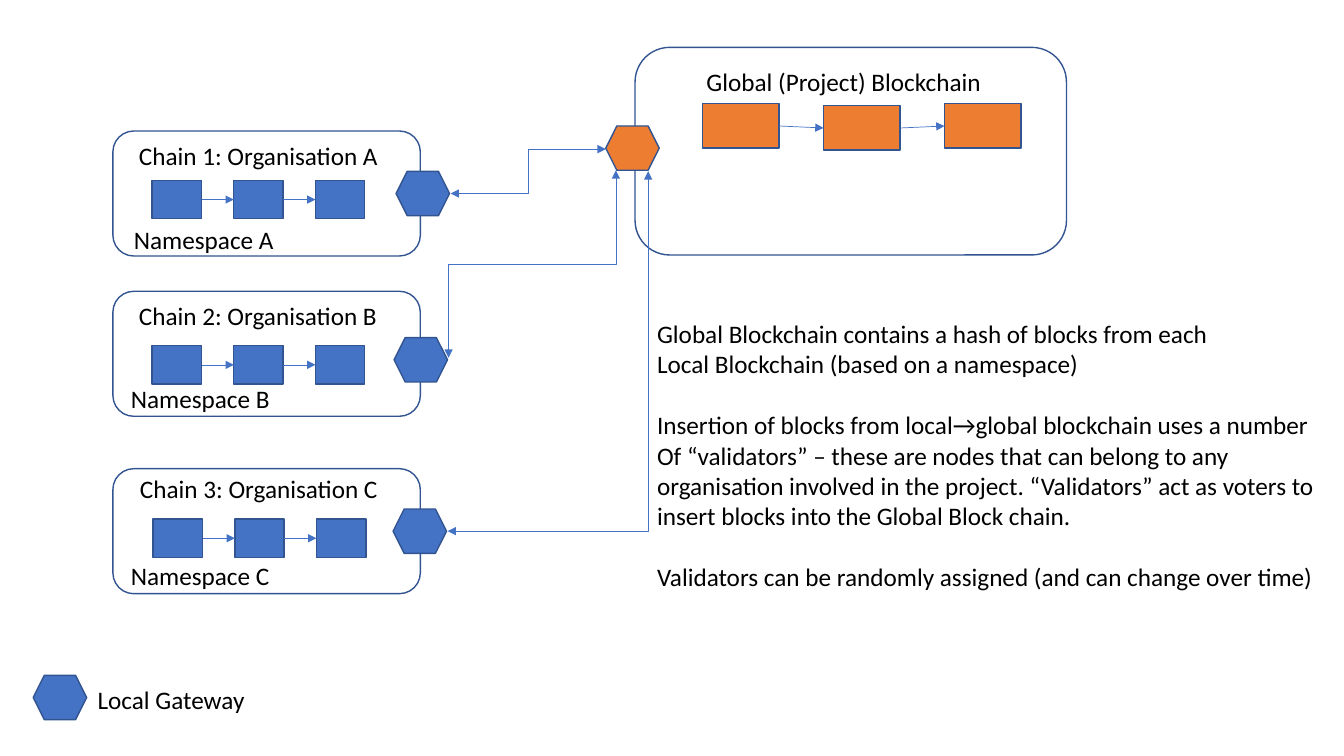
from dataclasses import dataclass
from itertools import pairwise

from lxml.etree import SubElement
from pptx import Presentation
from pptx.dml.color import RGBColor as Rgb
from pptx.enum.shapes import MSO_CONNECTOR as Link, MSO_SHAPE as Preset
from pptx.enum.text import MSO_AUTO_SIZE as AutoSize
from pptx.oxml.ns import qn
from pptx.util import Inches, Pt


@dataclass(frozen=True)
class Theme:
    local: Rgb = Rgb(0x44, 0x72, 0xC4)
    shared: Rgb = Rgb(0xED, 0x7D, 0x31)
    outline: Rgb = Rgb(0x32, 0x54, 0x91)
    ink: Rgb = Rgb(0, 0, 0)
    font: str = "Calibri"
    text_size: Pt = Pt(18)
    paragraph_gap: Pt = Pt(22)
    outline_width: Pt = Pt(1)
    arrow_width: Pt = Pt(0.5)


class Diagram:
    COLUMNS, ROWS = 133.33, 75
    GATEWAY = 5.3, 4.4

    def __init__(self, deck, theme):
        self.theme = theme
        self.slide = deck.slides.add_slide(deck.slide_layouts[6])
        self.column = deck.slide_width / self.COLUMNS
        self.row = deck.slide_height / self.ROWS

    def place(self, *lengths):
        units = self.column, self.row
        return [round(length * units[i % 2]) for i, length in enumerate(lengths)]

    def box(self, preset, left, top, width, height, fill=None):
        shape = self.slide.shapes.add_shape(preset, *self.place(left, top, width, height))
        shape.shadow.inherit = False
        shape.line.color.rgb = self.theme.outline
        shape.line.width = self.theme.outline_width
        if fill is None:
            shape.fill.background()
        else:
            shape.fill.solid()
            shape.fill.fore_color.rgb = fill

    def frame(self, left, top, width, height):
        self.box(Preset.ROUNDED_RECTANGLE, left, top, width, height)

    def gateway(self, left, top, fill):
        self.box(Preset.HEXAGON, left, top, *self.GATEWAY, fill)

    def text(self, left, top, width, height, *paragraphs, wrap=False, spaced=()):
        frame = self.slide.shapes.add_textbox(*self.place(left, top, width, height)).text_frame
        frame.word_wrap = wrap
        frame.auto_size = AutoSize.SHAPE_TO_FIT_TEXT
        frame.text = "\n".join(paragraphs)
        for index, paragraph in enumerate(frame.paragraphs):
            if index in spaced:
                paragraph.space_before = self.theme.paragraph_gap
            for run in paragraph.runs:
                run.font.name = self.theme.font
                run.font.size = self.theme.text_size
                run.font.color.rgb = self.theme.ink

    def arrow(self, start, end, kind=Link.STRAIGHT, both=False, preset=None, quarter_turn=False):
        connector = self.slide.shapes.add_connector(kind, *self.place(*start, *end))
        connector.line.color.rgb = self.theme.local
        connector.line.width = self.theme.arrow_width
        properties = connector._element.spPr
        outline = properties.find(qn("a:ln"))
        for tag in ("a:headEnd", "a:tailEnd") if both else ("a:tailEnd",):
            SubElement(outline, qn(tag), type="triangle")
        SubElement(properties, qn("a:effectLst"))
        if preset:
            properties.find(qn("a:prstGeom")).set("prst", preset)
        if quarter_turn:
            properties.find(qn("a:xfrm")).set("rot", "5400000")

    def blocks(self, left, tops, width, height, pitch, fill):
        corners = [(left + index * pitch, top) for index, top in enumerate(tops)]
        for x, y in corners:
            self.box(Preset.RECTANGLE, x, y, width, height, fill)
        for (x, y), (next_x, next_y) in pairwise(corners):
            self.arrow((x + width, y + height / 2), (next_x, next_y + height / 2))

    def local_chain(self, chain):
        self.blocks(chain.block_left, [chain.block_top] * 3, 4.9, 3.8, 8.1, self.theme.local)
        self.text(chain.block_left - 2.3, chain.title_top, 26, 4, chain.title)
        self.frame(11.2, chain.top, 30.5, 12.4)
        self.text(chain.namespace_left, chain.top + chain.namespace_drop, 16, 4, chain.namespace)
        self.gateway(chain.gateway_left, chain.gateway_top, self.theme.local)


@dataclass(frozen=True)
class Chain:
    title: str
    namespace: str
    top: float
    title_top: float
    block_left: float
    block_top: float
    namespace_left: float
    namespace_drop: float
    gateway_left: float
    gateway_top: float


CHAINS = [
    Chain("Chain 1: Organisation A", "Namespace A", 13, 13.4, 15.1, 17.9, 12.3, 8.8, 39.3, 17),
    Chain("Chain 2: Organisation B", "Namespace B", 28.9, 29.3, 15.1, 34.3, 12, 8.6, 39.1, 33.5),
    Chain("Chain 3: Organisation C", "Namespace C", 46.5, 46.5, 15.2, 51.5, 12, 8.6, 39, 50.5),
]

EXPLANATION = [
    "Global Blockchain contains a hash of blocks from each",
    "Local Blockchain (based on a namespace)",
    "Insertion of blocks from local→global blockchain uses a number",
    "Of “validators” – these are nodes that can belong to any organisation involved in the "
    "project. “Validators” act as voters to insert blocks into the Global Block chain.",
    "Validators can be randomly assigned (and can change over time)",
]

deck = Presentation()
deck.slide_width, deck.slide_height = Inches(13.33), Inches(7.5)
theme = Theme()
diagram = Diagram(deck, theme)

for chain in CHAINS:
    diagram.local_chain(chain)

diagram.gateway(3.3, 67, theme.local)
diagram.text(8.7, 67.4, 16.8, 4, "Local Gateway")

diagram.blocks(69.7, [10.3, 10.5, 10.3], 7.6, 4.4, 12, theme.shared)
diagram.text(69.1, 6.1, 29.5, 4, "Global (Project) Blockchain")
diagram.frame(63, 4.7, 42.8, 20.6)
diagram.gateway(60.1, 12.5, theme.shared)
diagram.text(64.2, 31.1, 69.1, 28.3, *EXPLANATION, wrap=True, spaced=(2, 4))

diagram.arrow((44.7, 19.2), (60.1, 14.8), Link.ELBOW, both=True)
diagram.arrow((62.1, 34.5), (43.5, 17.9), Link.ELBOW, both=True, quarter_turn=True)
diagram.arrow((44.4, 52.7), (64.3, 17), Link.ELBOW, both=True, preset="bentConnector2")

deck.save("out.pptx")
